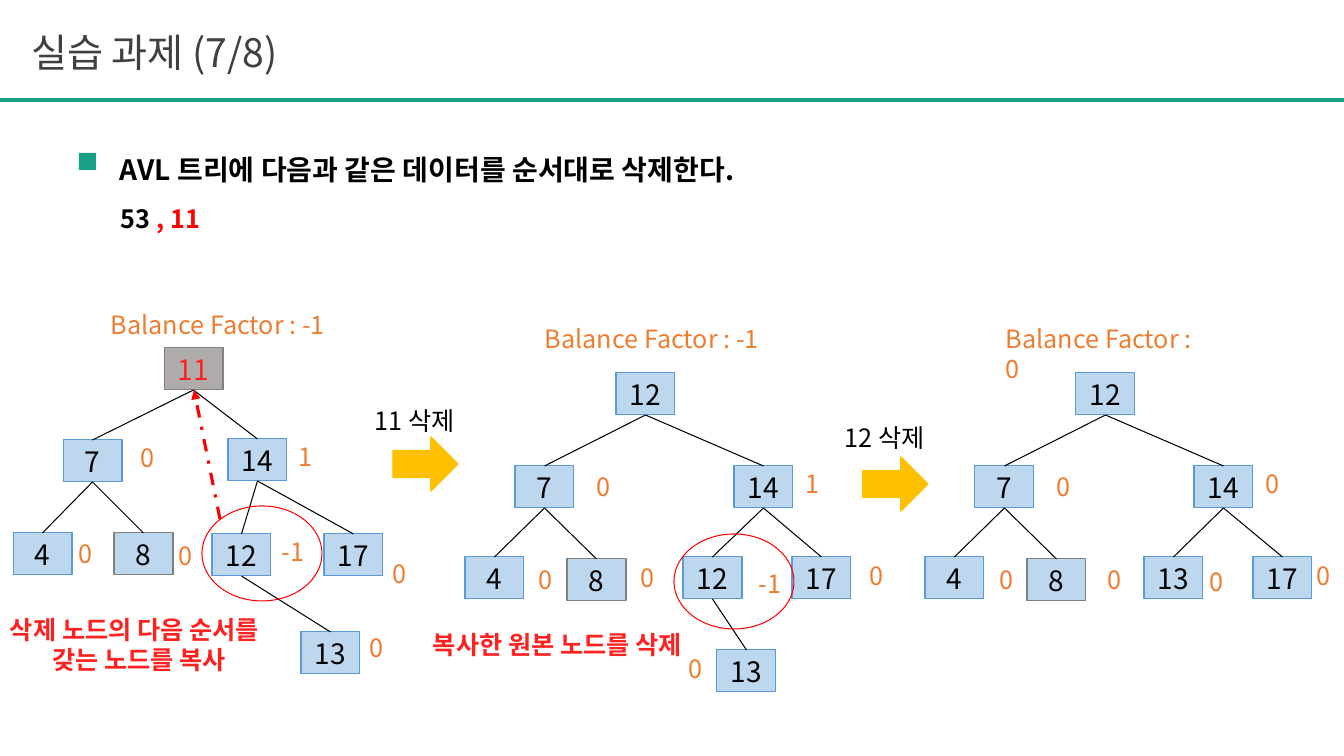
from dataclasses import dataclass

from lxml import etree
from pptx import Presentation
from pptx.dml.color import RGBColor
from pptx.enum.dml import MSO_LINE
from pptx.enum.shapes import MSO_CONNECTOR, MSO_SHAPE
from pptx.enum.text import MSO_ANCHOR, PP_ALIGN
from pptx.oxml.ns import qn
from pptx.util import Pt

RECT, OVAL, ARROW = MSO_SHAPE.RECTANGLE, MSO_SHAPE.OVAL, MSO_SHAPE.RIGHT_ARROW
LINE, DASH = MSO_CONNECTOR.STRAIGHT, MSO_LINE.DASH_DOT
LEFT, CENTER, MIDDLE = PP_ALIGN.LEFT, PP_ALIGN.CENTER, MSO_ANCHOR.MIDDLE
BOTTOM, TOP = 2, 0


@dataclass(frozen=True)
class Theme:
    font: str = "Noto Sans CJK KR"
    green: str = "16A085"
    title: str = "404040"
    black: str = "000000"
    red: str = "FF0000"
    note: str = "FF2020"
    orange: str = "ED7D31"
    gold: str = "FFC000"
    node: str = "BDD7EE"
    edge: str = "5B9BD5"
    gone: str = "AFABAB"
    grey: str = "808080"
    big: int = 28
    mid: int = 20
    small: int = 18
    thin: float = 0.75


T = Theme()
NODE_W, NODE_H = 59, 42


def px(n):
    return round(n * 914400 / 100.8)


def rgb(code):
    return RGBColor.from_string(code)


# Basic parts
def style(run, size, color, bold=False):
    font = run.font
    font.size, font.bold, font.name = Pt(size), bold, T.font
    font.color.rgb = rgb(color)
    etree.SubElement(run._r.get_or_add_rPr(), qn("a:ea"), typeface=T.font)


def fill_text(frame, text, size, color, bold=False, align=LEFT):
    frame.text = text
    for para in frame.paragraphs:
        para.alignment = align
        for run in para.runs:
            style(run, size, color, bold)


def label(slide, x, y, w, h, text, size=T.small, color=T.orange, bold=False):
    frame = slide.shapes.add_textbox(px(x), px(y), px(w), px(h)).text_frame
    frame.word_wrap = True
    fill_text(frame, text, size, color, bold)
    return frame


def block(slide, kind, x, y, w, h, fill=None, line=None, width=T.thin):
    shape = slide.shapes.add_shape(kind, px(x), px(y), px(w), px(h))
    shape.shadow.inherit = False
    if fill:
        shape.fill.solid()
        shape.fill.fore_color.rgb = rgb(fill)
    else:
        shape.fill.background()
    if line:
        shape.line.color.rgb = rgb(line)
        shape.line.width = Pt(width)
    else:
        shape.line.fill.background()
    return shape


def link(slide, x1, y1, x2, y2, color=T.black, width=T.thin):
    wire = slide.shapes.add_connector(LINE, px(x1), px(y1), px(x2), px(y2))
    wire.line.color.rgb = rgb(color)
    wire.line.width = Pt(width)
    etree.SubElement(wire._element.spPr, qn("a:effectLst"))
    return wire


# Title and rule
def header(slide, x, y, w, h):
    title = slide.shapes.title
    title.left, title.top, title.width, title.height = map(px, (x, y, w, h))
    title.text_frame.vertical_anchor = MIDDLE
    fill_text(title.text_frame, "실습 과제 (7/8)", T.big, T.title)
    link(slide, 0, 100, 1344, 100, T.green, 3)


# Task with its square bullet and data
def task(slide, x, y):
    block(slide, RECT, x, y, 17, 17, T.green)
    head = label(slide, x + 31, y - 39, 706, 78,
                 "AVL 트리에 다음과 같은 데이터를 순서대로 삭제한다.",
                 T.mid, T.black, True)
    head.paragraphs[0].line_spacing = 2.0
    data = label(slide, x + 32, y + 45, 110, 40, "53 ", T.small, T.black, True)
    run = data.paragraphs[0].add_run()
    run.text = ", 11"
    style(run, T.small, T.red, True)


# Tree: nodes are (key, x, y, parent index, factor, factor dx, factor dy)
def tree(slide, x, y, nodes, ring=None):
    boxes = []
    for key, dx, dy, up, factor, fx, fy in nodes:
        gone = key == "11"
        box = block(slide, RECT, x + dx, y + dy, NODE_W, NODE_H,
                    T.gone if gone else T.node,
                    T.grey if key in ("8", "11") else T.edge)
        frame = box.text_frame
        frame.word_wrap = False
        frame.vertical_anchor = MIDDLE
        fill_text(frame, key, T.mid, T.note if gone else T.black, align=CENTER)
        boxes.append(box)
        if up is not None:
            wire = link(slide, 0, 0, 1, 1)
            wire.begin_connect(boxes[up], BOTTOM)
            wire.end_connect(box, TOP)
        # Only the root's factor carries its name
        if up is None:
            wide = 240 if factor == "-1" else 225
            factor = "Balance Factor : " + factor
        else:
            wide = 44 if factor == "-1" else 34
        label(slide, x + dx + fx, y + dy + fy, wide, 40, factor)
    if ring:
        block(slide, OVAL, x + ring[0], y + ring[1], 120, 95, line=T.red)


# Step arrow with its caption
def step(slide, x, y, text, rise):
    block(slide, ARROW, x, y, 65, 54, T.gold, T.gold, 1)
    label(slide, x - 28, y - rise, 112, 40, text, color=T.black)


# Copy arrow to the removed root
def copy_mark(slide, x, y):
    wire = link(slide, x + 26, y + 129, x, y, T.red, 2.25)
    wire.line.dash_style = DASH
    etree.SubElement(wire.line._get_or_add_ln(), qn("a:tailEnd"), type="triangle")


def note(slide, x, y, w, text):
    frame = label(slide, x, y, w, 40, text, color=T.note, bold=True)
    for para in frame.paragraphs[1:]:
        para.alignment = CENTER


FIRST = [
    ("11", 151, 44, None, "-1", -63, -44),
    ("7", 50, 136, 0, "0", 68, -3),
    ("14", 215, 135, 0, "1", 61, -3),
    ("4", 0, 229, 1, "0", 56, 0),
    ("8", 101, 229, 1, "0", 55, 2),
    ("12", 199, 230, 2, "-1", 60, -3),
    ("17", 311, 230, 2, "0", 59, 19),
    ("13", 288, 328, 5, "0", 59, -5),
]
SECOND = [
    ("12", 151, 55, None, "-1", -81, -55),
    ("7", 50, 148, 0, "0", 72, 0),
    ("14", 269, 148, 0, "1", 62, -3),
    ("4", 0, 239, 1, "0", 64, 2),
    ("8", 102, 241, 1, "0", 64, -2),
    ("12", 218, 239, 2, "-1", 66, 6),
    ("17", 327, 239, 2, "0", 68, -2),
    ("13", 252, 332, 5, "0", -38, -2),
]
THIRD = [
    ("12", 151, 55, None, "0", -80, -55),
    ("7", 50, 148, 0, "0", 72, 0),
    ("14", 269, 148, 0, "0", 62, -3),
    ("4", 0, 239, 1, "0", 65, 2),
    ("8", 102, 241, 1, "0", 71, 0),
    ("13", 219, 239, 2, "0", 56, 4),
    ("17", 328, 239, 2, "0", 54, -2),
]

deck = Presentation()
deck.slide_width, deck.slide_height = px(1344), px(756)
slide = deck.slides.add_slide(deck.slide_layouts[5])
header(slide, 21, 23, 1023, 57)
task(slide, 79, 153)
tree(slide, 13, 304, FIRST, (189, 202))
copy_mark(slide, 194, 390)
step(slide, 393, 437, "11 삭제", 37)
tree(slide, 465, 318, SECOND, (209, 216))
step(slide, 863, 457, "12 삭제", 40)
tree(slide, 925, 318, THIRD)
note(slide, 0, 609, 278, "삭제 노드의 다음 순서를 \n갖는 노드를 복사")
note(slide, 423, 624, 301, "복사한 원본 노드를 삭제")
deck.save("out.pptx")
